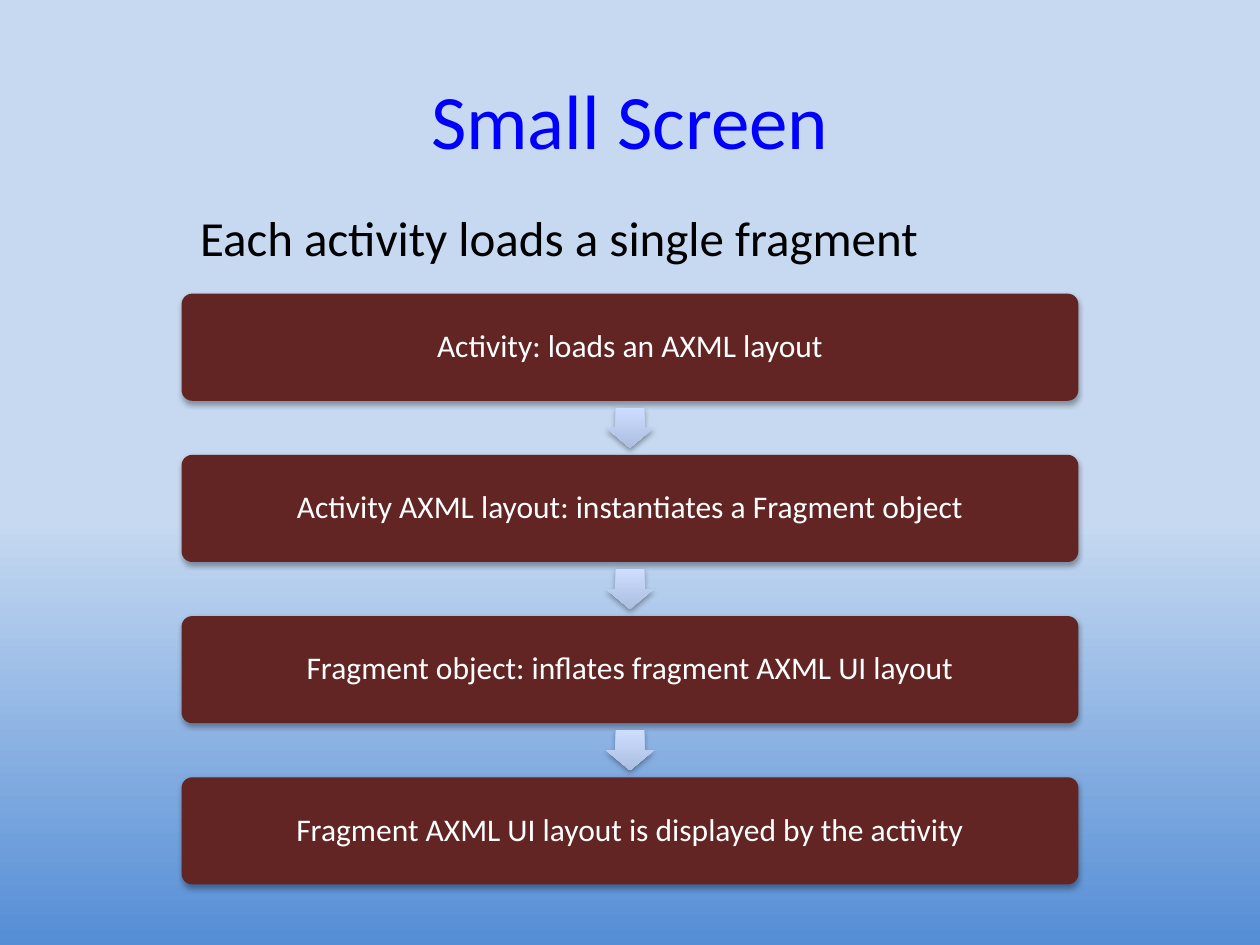
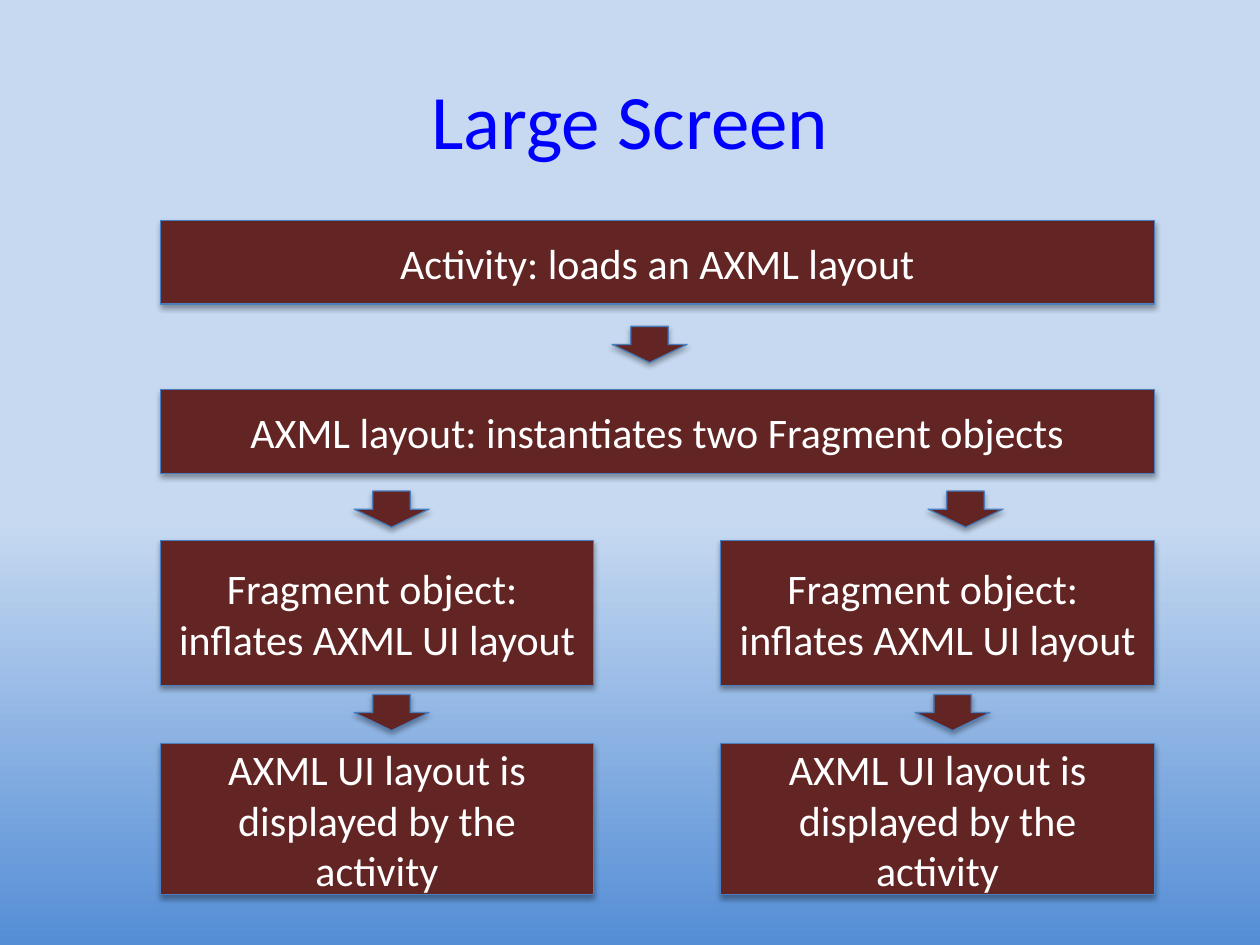
import pptx
import pptx.dml.color
import pptx.enum.shapes
import pptx.enum.text
import pptx.oxml
import pptx.oxml.ns
import pptx.util
from pptx.util import Cm

FONT = "Calibri"
MAROON, EDGE_BLUE = "632523", "4B7EBC"
SHADOW_XML = (
    f'<a:outerShdw {pptx.oxml.ns.nsdecls("a")} blurRad="40000" dist="23000" dir="5400000"'
    ' rotWithShape="0"><a:srgbClr val="000000"><a:alpha val="35000"/></a:srgbClr></a:outerShdw>'
)
PRESETS = pptx.enum.shapes.MSO_SHAPE
ANCHOR = pptx.enum.text.MSO_ANCHOR
CENTER = pptx.enum.text.PP_ALIGN.CENTER


def rgb(hex_string):
    """Turn a hex string into a colour."""
    return pptx.dml.color.RGBColor.from_string(hex_string)


def add_block(slide, preset, left, top, width, height, text="", size=24):
    """Add a maroon shape with a soft shadow and centred white text; lengths in cm."""
    block = slide.shapes.add_shape(preset, Cm(left), Cm(top), Cm(width), Cm(height))
    block.fill.solid()
    block.fill.fore_color.rgb = rgb(MAROON)
    block.line.color.rgb = rgb(EDGE_BLUE)
    block.line.width = pptx.util.Pt(0.75)
    block.shadow.inherit = False
    effects = block._element.spPr.find(pptx.oxml.ns.qn("a:effectLst"))
    effects.append(pptx.oxml.parse_xml(SHADOW_XML))
    if text:
        block.text_frame.text = text
        block.text_frame.vertical_anchor = ANCHOR.MIDDLE
        paragraph = block.text_frame.paragraphs[0]
        paragraph.alignment = CENTER
        paragraph.font.name = FONT
        paragraph.font.size = pptx.util.Pt(size)
        paragraph.font.color.rgb = rgb("FFFFFF")
    return block


prs = pptx.Presentation()
prs.slide_width, prs.slide_height = Cm(25.4), Cm(19.05)

# Shared background
backdrop = prs.slide_master.background.fill
backdrop.gradient()
backdrop.gradient_angle = 270
for stop, position, color in zip(backdrop.gradient_stops, (0.55, 1), ("C6D9F1", "558ED5")):
    stop.position = position
    stop.color.rgb = rgb(color)

# Slides and their shared title style
small_screen = prs.slides.add_slide(prs.slide_layouts.get_by_name("Title and Content"))
large_screen = prs.slides.add_slide(prs.slide_layouts.get_by_name("Title Only"))
for slide, heading in ((small_screen, "Small Screen"), (large_screen, "Large Screen")):
    title = slide.shapes.title
    title.left, title.top, title.width, title.height = Cm(1.27), Cm(1.27), Cm(22.86), Cm(3.18)
    title.text_frame.text = heading
    title.text_frame.vertical_anchor = ANCHOR.TOP
    title.text_frame.margin_top = Cm(0.2)
    title_line = title.text_frame.paragraphs[0]
    title_line.alignment = CENTER
    title_line.font.name = FONT
    title_line.font.size = pptx.util.Pt(44)
    title_line.font.color.rgb = rgb("0000FF")

# Small screen: summary line
summary = small_screen.placeholders[1]
summary.left, summary.top, summary.width, summary.height = Cm(3.78), Cm(4.06), Cm(20.35), Cm(1.45)
summary.text_frame.text = "Each activity loads a single fragment"
summary_line = summary.text_frame.paragraphs[0]
summary_line.space_before = pptx.util.Pt(0)
summary_line.font.name = FONT
summary_line.font.size = pptx.util.Pt(28)
summary_line.font.color.rgb = rgb("000000")
properties = summary_line._p.get_or_add_pPr()
properties.set("marL", "0")
properties.set("indent", "0")
properties.append(pptx.oxml.parse_xml(f'<a:buNone {pptx.oxml.ns.nsdecls("a")}/>'))
# Bullet settings come before the default run properties
properties.append(properties.find(pptx.oxml.ns.qn("a:defRPr")))

# Small screen: chain of steps with an arrow centred in each gap
STEPS = (
    "Activity: loads an AXML layout",
    "Activity AXML layout: instantiates a Fragment object",
    "Fragment object: inflates fragment AXML UI layout",
    "Fragment AXML UI layout is displayed by the activity",
)
STEP_LEFT, STEP_TOP, STEP_WIDTH, STEP_HEIGHT, PITCH = 3.66, 5.92, 18.08, 2.16, 3.25
LINK_WIDTH, LINK_HEIGHT = 0.97, 0.81
for index, text in enumerate(STEPS):
    top = STEP_TOP + index * PITCH
    if index:
        gap_middle = top - (PITCH - STEP_HEIGHT) / 2
        link = add_block(small_screen, PRESETS.DOWN_ARROW,
                         STEP_LEFT + (STEP_WIDTH - LINK_WIDTH) / 2,
                         gap_middle - LINK_HEIGHT / 2, LINK_WIDTH, LINK_HEIGHT)
        link.adjustments[0], link.adjustments[1] = 0.6, 0.5
        link.line.fill.background()
        link.fill.gradient()
        link.fill.gradient_angle = 270
        for stop, color in zip(link.fill.gradient_stops, ("CCDDFF", "ADBFE1")):
            stop.color.rgb = rgb(color)
    step = add_block(small_screen, PRESETS.ROUNDED_RECTANGLE,
                     STEP_LEFT, top, STEP_WIDTH, STEP_HEIGHT, text, 18)
    step.adjustments[0] = 0.1
    step.line.fill.background()
    step.text_frame.paragraphs[0].line_spacing = 0.9

# Large screen: two full-width steps, then two parallel branches
LEFT, FULL_WIDTH, BRANCH_WIDTH = 3.23, 20.04, 8.74
add_block(large_screen, PRESETS.RECTANGLE, LEFT, 4.45, FULL_WIDTH, 1.68,
          "Activity: loads an AXML layout")
add_block(large_screen, PRESETS.RECTANGLE, LEFT, 7.85, FULL_WIDTH, 1.7,
          "AXML layout: instantiates two Fragment objects")
for branch_left in (LEFT, LEFT + FULL_WIDTH - BRANCH_WIDTH):
    add_block(large_screen, PRESETS.RECTANGLE, branch_left, 10.9, BRANCH_WIDTH, 2.92,
              "Fragment object: \vinflates AXML UI layout")
    add_block(large_screen, PRESETS.RECTANGLE, branch_left, 14.99, BRANCH_WIDTH, 3.05,
              "AXML UI layout is displayed by the activity")
for left, top in ((12.34, 6.58), (7.14, 9.9), (18.71, 9.9), (7.14, 14), (18.45, 14)):
    add_block(large_screen, PRESETS.DOWN_ARROW, left, top, 1.51, 0.73)

prs.save("out.pptx")
